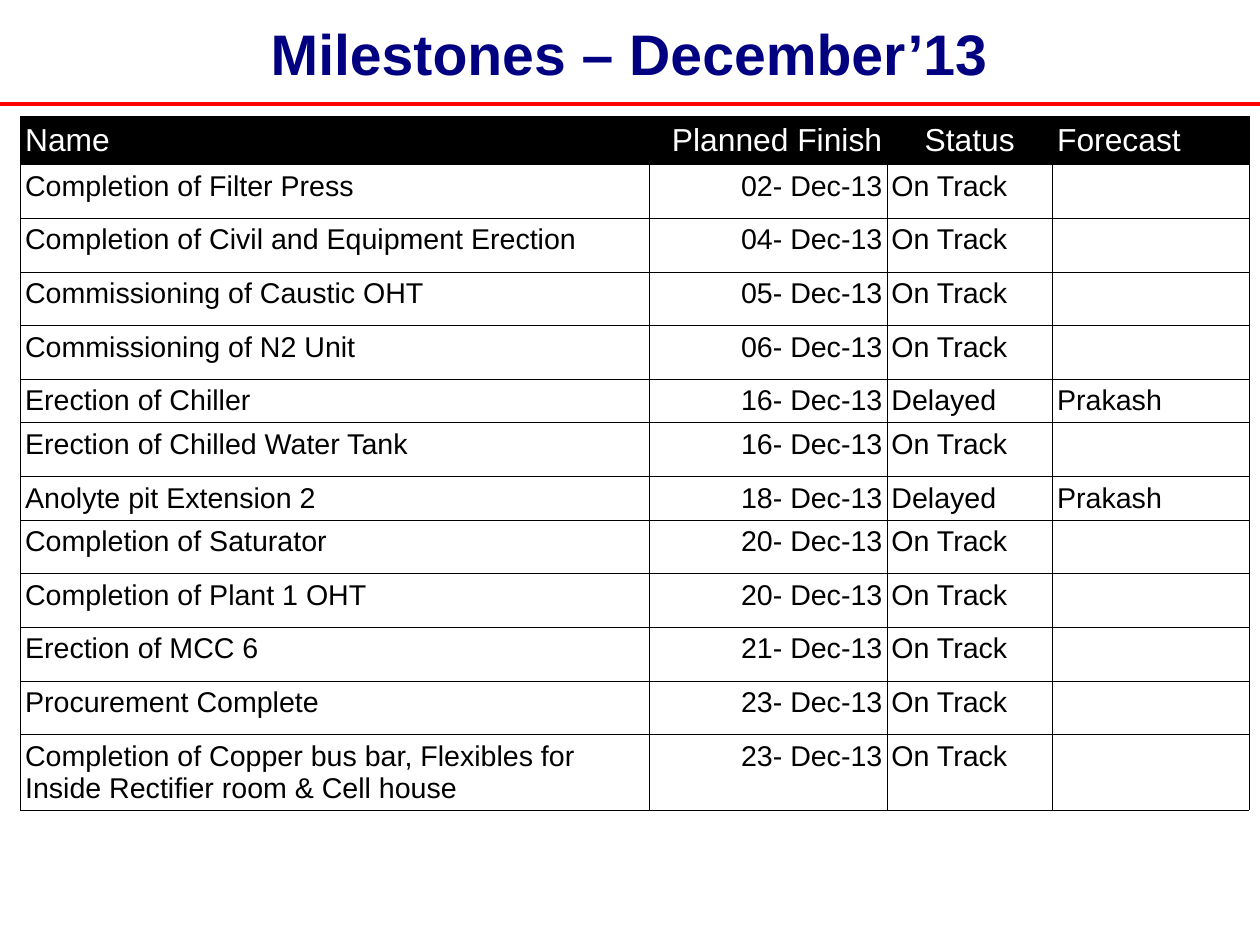
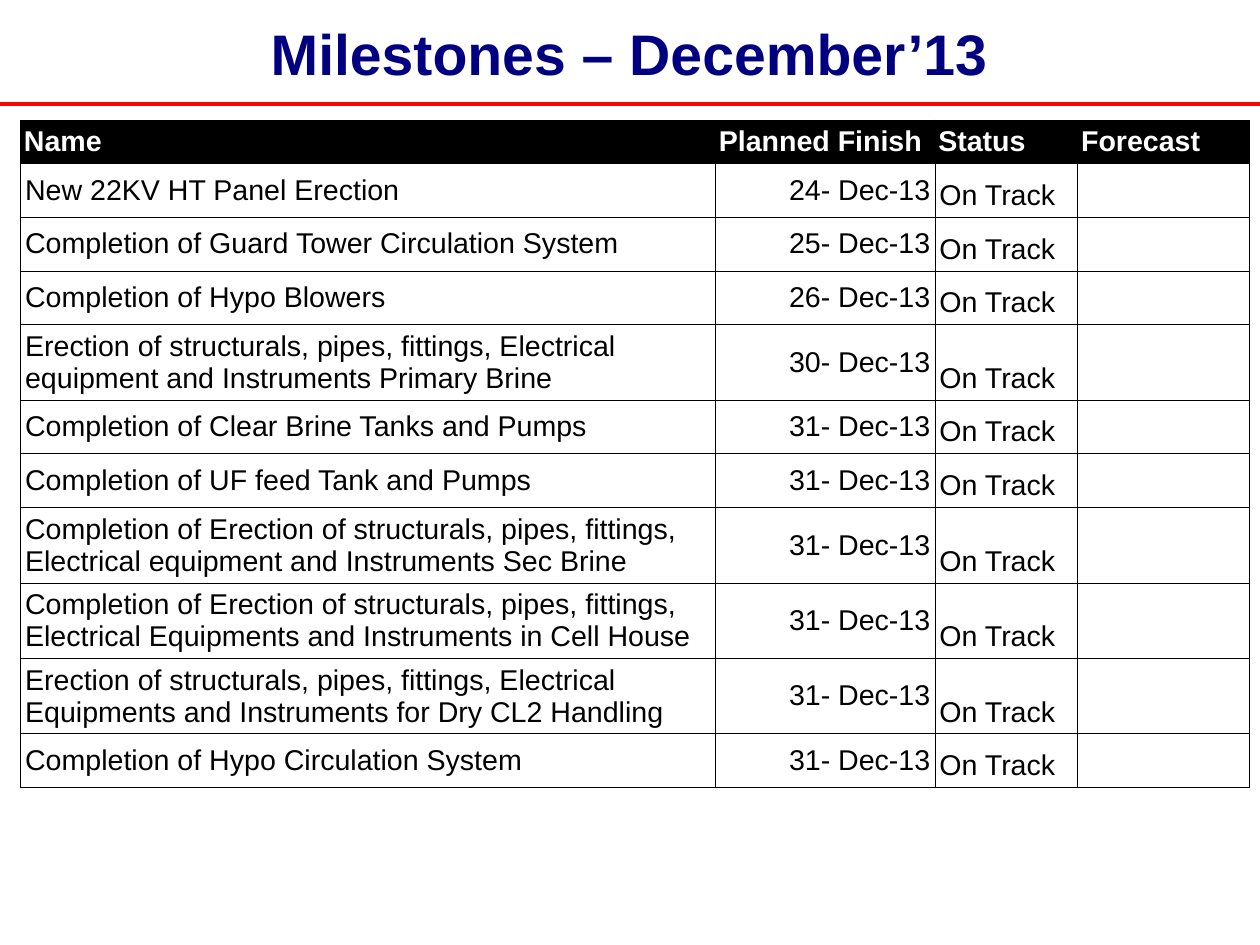
from lxml.etree import SubElement
from pptx import Presentation
from pptx.dml.color import RGBColor
from pptx.enum.shapes import MSO_CONNECTOR
from pptx.enum.text import MSO_ANCHOR, MSO_AUTO_SIZE, PP_ALIGN
from pptx.oxml.ns import qn
from pptx.util import Emu, Inches, Pt

FONT = "Arial"
NAVY, RED, BLACK, WHITE = "000080", "FF0000", "000000", "FFFFFF"
SLIDE_WIDTH, SLIDE_HEIGHT = Emu(10080625), Emu(7559675)
TITLE_BOX = (0.55, 0.12, 9.91, 0.75)
RULE_TOP = 0.91
LEFT, CENTER, RIGHT = PP_ALIGN.LEFT, PP_ALIGN.CENTER, PP_ALIGN.RIGHT
TOP, MIDDLE, BOTTOM = MSO_ANCHOR.TOP, MSO_ANCHOR.MIDDLE, MSO_ANCHOR.BOTTOM

TITLE = "Milestones – December’13"
HEADINGS = ("Name", "Planned Finish", "Status", "Forecast")
BODY_ALIGNMENTS = (LEFT, RIGHT, LEFT, LEFT)
ON_TRACK = ("On Track", "")
DELAYED = ("Delayed", "Prakash")
TWO_LINE_LENGTH = 60

EARLY_MILESTONES = [
    ("Completion of Filter Press", "02", ON_TRACK),
    ("Completion of Civil and Equipment Erection", "04", ON_TRACK),
    ("Commissioning of Caustic OHT", "05", ON_TRACK),
    ("Commissioning of N2 Unit", "06", ON_TRACK),
    ("Erection of Chiller", "16", DELAYED),
    ("Erection of Chilled Water Tank", "16", ON_TRACK),
    ("Anolyte pit Extension 2", "18", DELAYED),
    ("Completion of Saturator", "20", ON_TRACK),
    ("Completion of Plant 1 OHT", "20", ON_TRACK),
    ("Erection of MCC 6", "21", ON_TRACK),
    ("Procurement Complete", "23", ON_TRACK),
    ("Completion of Copper bus bar, Flexibles for Inside Rectifier room & Cell house",
     "23", ON_TRACK),
]
LATE_MILESTONES = [
    ("New 22KV HT Panel Erection", "24", ON_TRACK),
    ("Completion of Guard Tower Circulation System", "25", ON_TRACK),
    ("Completion of Hypo Blowers", "26", ON_TRACK),
    ("Erection of structurals, pipes, fittings, Electrical equipment and "
     "Instruments Primary Brine", "30", ON_TRACK),
    ("Completion of Clear Brine Tanks and Pumps", "31", ON_TRACK),
    ("Completion of UF feed Tank and Pumps", "31", ON_TRACK),
    ("Completion of Erection of structurals, pipes, fittings, Electrical equipment and "
     "Instruments Sec Brine", "31", ON_TRACK),
    ("Completion of Erection of structurals, pipes, fittings, Electrical Equipments and "
     "Instruments in Cell House", "31", ON_TRACK),
    ("Erection of structurals, pipes, fittings, Electrical Equipments and "
     "Instruments for Dry CL2 Handling", "31", ON_TRACK),
    ("Completion of Hypo Circulation System", "31", ON_TRACK),
]


def color(hex_string):
    return RGBColor.from_string(hex_string)


def write(text_frame, text, size=18, ink=BLACK, bold=False, align=LEFT, spacing=None):
    paragraph = text_frame.paragraphs[0]
    paragraph.alignment = align
    paragraph.line_spacing = spacing
    run = paragraph.add_run()
    run.text = text
    font = run.font
    font.name, font.size, font.bold = FONT, Pt(size), bold
    font.color.rgb = color(ink)


def style_layout(layout):
    """Place the title box that every slide inherits."""
    title = layout.placeholders[0]
    title.left, title.top, title.width, title.height = map(Inches, TITLE_BOX)
    frame = title.text_frame
    frame.margin_left = frame.margin_right = frame.margin_top = frame.margin_bottom = 0
    frame.vertical_anchor = MIDDLE
    frame.auto_size = MSO_AUTO_SIZE.NONE


def add_title_rule(slide, layout):
    """Draw the red rule and hand it to the layout, so all slides show it."""
    rule = slide.shapes.add_connector(
        MSO_CONNECTOR.STRAIGHT, 0, Inches(RULE_TOP), SLIDE_WIDTH, Inches(RULE_TOP))
    rule.line.color.rgb = color(RED)
    rule.line.width = Pt(2.83)
    SubElement(rule.element.spPr, qn("a:effectLst"))
    next_id = max(shape.shape_id for shape in layout.shapes) + 1
    rule.element.nvCxnSpPr.cNvPr.set("id", str(next_id))
    layout.shapes.element.append(rule.element)


def add_borders(cell):
    properties = cell._tc.get_or_add_tcPr()
    for side in ("a:lnL", "a:lnR", "a:lnT", "a:lnB"):
        line = SubElement(properties, qn(side), w=str(int(Pt(0.45))))
        fill = SubElement(line, qn("a:solidFill"))
        SubElement(fill, qn("a:srgbClr"), val=BLACK)


def format_cell(cell, text, anchor, margin=0.04, fill=None, **text_format):
    cell.margin_left = cell.margin_right = Inches(margin)
    cell.margin_top = cell.margin_bottom = Inches(0.05)
    cell.vertical_anchor = anchor
    add_borders(cell)
    if fill:
        cell.fill.solid()
        cell.fill.fore_color.rgb = color(fill)
    else:
        cell.fill.background()
    if text:
        write(cell.text_frame, text, **text_format)


def row_height(name, status):
    if len(name) > TWO_LINE_LENGTH:
        return 0.66
    return 0.38 if status == DELAYED else 0.47


def add_milestone_table(slide, milestones, left, top, column_widths, header_height,
                        header_alignments, header_format, body_anchors):
    heights = [header_height] + [row_height(name, status) for name, _, status in milestones]
    table = slide.shapes.add_table(
        len(heights), len(HEADINGS), Inches(left), Inches(top),
        Inches(sum(column_widths)), Inches(sum(heights))).table
    table.first_row = table.horz_banding = False
    for column, width in zip(table.columns, column_widths):
        column.width = Inches(width)
    for row, height in zip(table.rows, heights):
        row.height = Inches(height)
    for index, (heading, align) in enumerate(zip(HEADINGS, header_alignments)):
        format_cell(table.cell(0, index), heading, fill=BLACK, ink=WHITE, align=align,
                    **header_format)
    for row_index, (name, day, status) in enumerate(milestones, start=1):
        values = (name, f"{day}- Dec-13", *status)
        for index, value in enumerate(values):
            format_cell(table.cell(row_index, index), value, body_anchors[index],
                        align=BODY_ALIGNMENTS[index])


def add_milestone_slide(presentation, layout, milestones, **table_format):
    slide = presentation.slides.add_slide(layout)
    write(slide.shapes.title.text_frame, TITLE, size=36, ink=NAVY, bold=True,
          align=CENTER, spacing=0.93)
    add_milestone_table(slide, milestones, left=0.18, **table_format)
    return slide


def main():
    presentation = Presentation()
    presentation.slide_width = SLIDE_WIDTH
    presentation.slide_height = SLIDE_HEIGHT
    layout = presentation.slide_layouts.get_by_name("Title Only")
    style_layout(layout)
    first_slide = add_milestone_slide(
        presentation, layout, EARLY_MILESTONES, top=1.02,
        column_widths=(5.5, 2.08, 1.45, 1.72), header_height=0.42,
        header_alignments=(LEFT, RIGHT, CENTER, LEFT),
        header_format={"size": 20, "anchor": TOP},
        body_anchors=(TOP, TOP, TOP, TOP))
    add_title_rule(first_slide, layout)
    add_milestone_slide(
        presentation, layout, LATE_MILESTONES, top=1.05,
        column_widths=(6.08, 1.92, 1.25, 1.5), header_height=0.38,
        header_alignments=(LEFT, LEFT, LEFT, LEFT),
        header_format={"bold": True, "anchor": MIDDLE, "margin": 0.03},
        body_anchors=(MIDDLE, MIDDLE, BOTTOM, BOTTOM))
    presentation.save("out.pptx")


if __name__ == "__main__":
    main()
